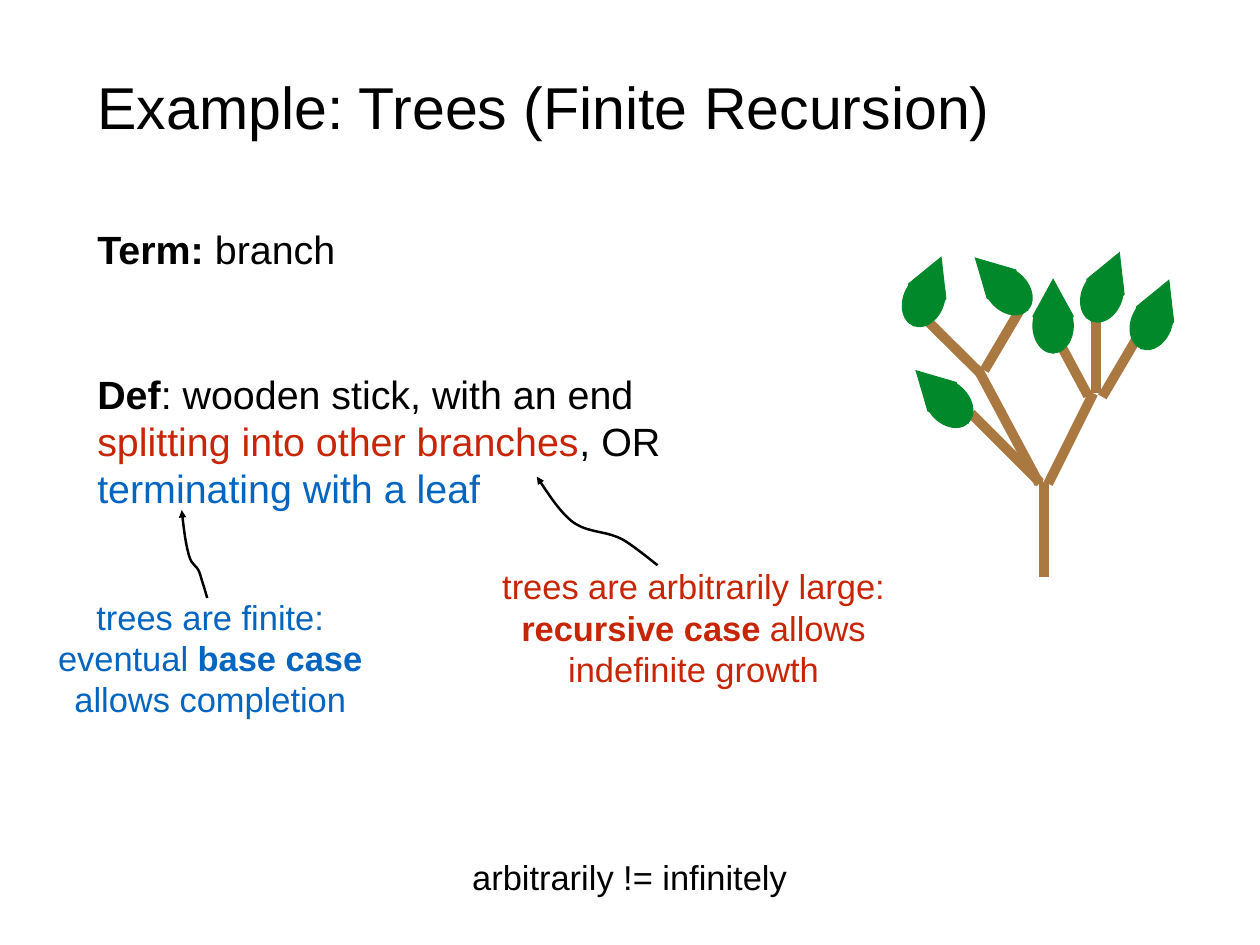
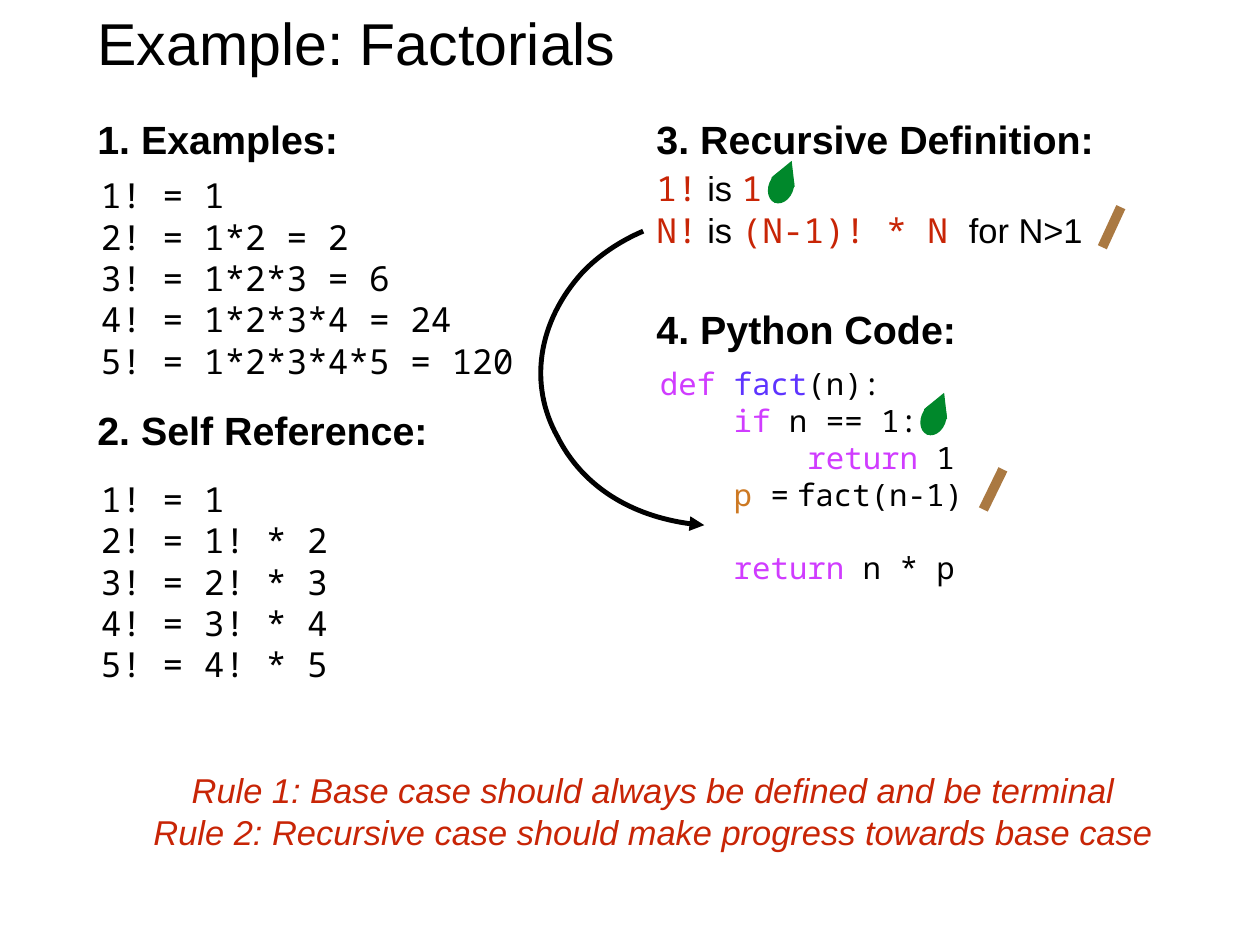
from dataclasses import dataclass

from lxml.etree import SubElement
from pptx import Presentation
from pptx.dml.color import RGBColor
from pptx.enum.shapes import MSO_CONNECTOR, MSO_SHAPE
from pptx.enum.text import MSO_ANCHOR, MSO_AUTO_SIZE, PP_ALIGN
from pptx.oxml.ns import qn
from pptx.util import Cm, Pt


@dataclass(frozen=True)
class Theme:
    sans: str = "Arial"
    mono: str = "Noto Sans Mono"
    black: str = "000000"
    red: str = "C82506"
    blue: str = "0365C0"
    wood: str = "AA7942"
    leaf: str = "00882B"
    keyword: str = "D03CFF"
    function: str = "5E34FF"
    variable: str = "CD7923"
    title_size: int = 48
    heading_size: int = 32
    note_size: int = 28
    code_size: int = 25
    leading: float = 1.2
    margin: float = 0.15


THEME = Theme()
BOLD = {"bold": True}
RED = {"color": THEME.red}
BLUE = {"color": THEME.blue}
RED_CODE = {"color": THEME.red, "name": THEME.mono}
KEYWORD = {"color": THEME.keyword}
MIDDLE = {"vertical_anchor": MSO_ANCHOR.MIDDLE}


def write(shape, place, size, lines, base=None, align=PP_ALIGN.LEFT, frame_format=None):
    """Place a shape in cm and fill it; a line is a string or a list of (text, font format)."""
    for side, length in zip(("left", "top", "width", "height"), place):
        setattr(shape, side, Cm(length))
    frame = shape.text_frame
    margins = {f"margin_{side}": Cm(THEME.margin) for side in ("left", "top", "right", "bottom")}
    settings = {"word_wrap": True, "auto_size": MSO_AUTO_SIZE.NONE,
                "vertical_anchor": MSO_ANCHOR.TOP}
    for key, value in (settings | margins | (frame_format or {})).items():
        setattr(frame, key, value)
    defaults = {"name": THEME.sans, "size": Pt(size), "bold": False, "italic": False,
                "color": THEME.black} | (base or {})
    spacing = {"alignment": align, "line_spacing": Pt(size * THEME.leading),
               "space_before": Pt(0), "space_after": Pt(0)}
    for number, line in enumerate(lines):
        paragraph = frame.add_paragraph() if number else frame.paragraphs[0]
        for key, value in spacing.items():
            setattr(paragraph, key, value)
        for text, changes in [(line, {})] if isinstance(line, str) else line:
            run = paragraph.add_run()
            run.text = text
            font_format = defaults | changes
            run.font.color.rgb = RGBColor.from_string(font_format.pop("color"))
            for key, value in font_format.items():
                setattr(run.font, key, value)
    return frame


presentation = Presentation()
presentation.slide_width, presentation.slide_height = Cm(36.12), Cm(27.1)
title_and_body, title_only = (presentation.slide_layouts[index] for index in (1, 5))
trees = presentation.slides.add_slide(title_and_body)
factorials = presentation.slides.add_slide(title_only)

for slide, title, top, height in (
    (trees, "Example: Trees (Finite Recursion)", 1.24, 3.58),
    (factorials, "Example: Factorials", 0.03, 2.36),
):
    write(slide.shapes.title, (2.64, top, 30.84, height), THEME.title_size, [title],
          frame_format=MIDDLE)

# Trees: term, definition and notes
term = write(trees.placeholders[1], (2.64, 6.3, 30.84, 2.24), THEME.heading_size,
             [[("Term: ", BOLD), ("branch", {})]])
term_properties = term.paragraphs[0]._p.get_or_add_pPr()
for indent in ("marL", "indent"):
    term_properties.set(indent, "0")
SubElement(term_properties, qn("a:buNone"))

write(trees.shapes.add_textbox(0, 0, 0, 0), (2.64, 10.46, 17.07, 4.52), THEME.heading_size,
      [[("Def", BOLD), (": wooden stick, with an end ", {}),
        ("splitting into other branches", RED), (", OR ", {}),
        ("terminating with a leaf", BLUE)]])

notes = (
    (trees, (10.34, 16.05, 19.08, 3.89), RED,
     ["trees are arbitrarily large:", [("recursive case", BOLD), (" allows", {})],
      "indefinite growth"]),
    (trees, (1.07, 16.92, 9.91, 3.89), BLUE,
     ["trees are finite:", [("eventual ", {}), ("base case", BOLD)], "allows completion"]),
    (trees, (13.28, 24.41, 9.53, 1.47), {}, ["arbitrarily != infinitely"]),
    (factorials, (3.81, 21.92, 29.8, 2.67), RED | {"italic": True},
     ["Rule 1: Base case should always be defined and be terminal",
      "Rule 2: Recursive case should make progress towards base case"]),
)
for slide, place, base, lines in notes:
    write(slide.shapes.add_textbox(0, 0, 0, 0), place, THEME.note_size, lines, base,
          PP_ALIGN.CENTER, MIDDLE)

# Factorials: four steps
for heading, left, top in (
    ("1. Examples:", 2.64, 3.15),
    ("2. Self Reference:", 2.64, 11.51),
    ("3. Recursive Definition:", 18.67, 3.15),
    ("4. Python Code:", 18.67, 8.59),
):
    write(factorials.shapes.add_textbox(0, 0, 0, 0), (left, top, 16.31, 2.06),
          THEME.heading_size, [heading], BOLD)

for top, equations in (
    (4.85, ["1! = 1", "2! = 1*2 = 2", "3! = 1*2*3 = 6", "4! = 1*2*3*4 = 24",
            "5! = 1*2*3*4*5 = 120"]),
    (13.56, ["1! = 1", "2! = 1! * 2", "3! = 2! * 3", "4! = 3! * 4", "5! = 4! * 5"]),
):
    write(factorials.shapes.add_textbox(0, 0, 0, 0), (2.74, top, 12.5, 6.27),
          THEME.note_size, equations, {"name": THEME.mono})

write(factorials.shapes.add_textbox(0, 0, 0, 0), (18.67, 4.65, 13.69, 3.33), THEME.note_size,
      [[("1!", RED_CODE), (" is ", {}), ("1", RED_CODE)],
       [("N!", RED_CODE), (" is ", {}), ("(N-1)! * N ", RED_CODE), ("for N>1", {})]])

code = write(
    factorials.shapes.add_textbox(0, 0, 0, 0), (18.77, 10.31, 16.81, 5.38), THEME.code_size,
    [[("def ", KEYWORD), ("fact", {"color": THEME.function}), ("(n):", {})],
     [("    if", KEYWORD), (" n == 1:", {})],
     [("        return", KEYWORD), (" 1", {})],
     [("    p", {"color": THEME.variable}), (" =\tfact(n-1)", {})],
     [("    return", KEYWORD), (" n * p", {})]],
    {"name": THEME.mono})
recursive_call, result = code.paragraphs[3:]
result.space_before = Pt(THEME.code_size * THEME.leading)
tab_stops = SubElement(recursive_call._p.get_or_add_pPr(), qn("a:tabLst"))
SubElement(tab_stops, qn("a:tab"), pos=str(Cm(3.93)), algn="l")

# Branches: start and end
for slide, *ends in (
    (trees, 29.92, 16.54, 29.92, 13.82),
    (trees, 30.05, 13.87, 31.34, 11.28),
    (trees, 29.79, 13.87, 28.09, 10.69),
    (trees, 28.12, 10.72, 26.42, 9.04),
    (trees, 28.22, 10.62, 29.21, 8.94),
    (trees, 31.6, 11.38, 32.59, 9.7),
    (trees, 31.19, 11.35, 30.4, 9.88),
    (trees, 31.42, 11.28, 31.42, 9.12),
    (trees, 29.82, 13.84, 27.84, 11.86),
    (factorials, 31.6, 7.09, 32.13, 5.94),
    (factorials, 28.19, 14.61, 28.75, 13.46),
):
    branch = slide.shapes.add_connector(MSO_CONNECTOR.STRAIGHT, *map(Cm, ends))
    branch.line.color.rgb = RGBColor.from_string(THEME.wood)
    branch.line.width = Pt(8)
    SubElement(branch.element.spPr, qn("a:effectLst"))

# Leaves: centre, angle and scale; each is a diamond tip over a round base
for slide, x, y, angle, scale in (
    (trees, 33.11, 9.02, 22.1, 1),
    (trees, 31.69, 8.23, 22.1, 1),
    (trees, 28.71, 8.15, 315, 1),
    (trees, 30.19, 9.07, 0, 1),
    (trees, 26.58, 8.36, 22.1, 1),
    (trees, 27.01, 11.38, 315, 1),
    (factorials, 22.45, 5.22, 22.1, 0.6),
    (factorials, 26.82, 11.87, 22.1, 0.6),
):
    leaf = slide.shapes.add_group_shape()
    for outline, height, drop in ((MSO_SHAPE.DIAMOND, 2.18, 0), (MSO_SHAPE.OVAL, 1.6, 0.27)):
        part = leaf.shapes.add_shape(
            outline, Cm(x - 1.19 * scale / 2), Cm(y + (drop - height / 2) * scale),
            Cm(1.19 * scale), Cm(height * scale))
        part.shadow.inherit = False
        part.fill.solid()
        part.fill.fore_color.rgb = RGBColor.from_string(THEME.leaf)
        part.line.fill.background()
    leaf.rotation = angle

# Curved arrows: a start, then three Bézier points for each stretch
for slide, width, points in (
    (trees, 2, ((18.85, 16.21), (18.52, 15.95), (18.21, 15.7), (17.93, 15.52),
                (17.4, 15.19), (16.87, 15.32), (16.38, 14.94),
                (16.05, 14.66), (15.72, 14.17), (15.39, 13.67))),
    (trees, 2, ((5.94, 17.15), (5.87, 16.89), (5.79, 16.66), (5.74, 16.48),
                (5.64, 16.15), (5.51, 16.28), (5.41, 15.9),
                (5.33, 15.62), (5.26, 15.11), (5.21, 14.63))),
    (factorials, 4, ((18.44, 6.63), (17.78, 6.91), (17.17, 7.32), (16.71, 7.8),
                     (15.39, 9.25), (15.16, 11.05), (15.98, 12.52),
                     (16.71, 13.97), (18.34, 14.94), (20.19, 15.06))),
):
    start, *stretches = [(Cm(x), Cm(y)) for x, y in points]
    builder = slide.shapes.build_freeform(*start)
    builder.add_line_segments(stretches, close=False)
    arrow = builder.convert_to_shape()
    segments = list(arrow.element.iter(qn("a:lnTo")))
    for bend, *others in zip(segments[::3], segments[1::3], segments[2::3]):
        bend.tag = qn("a:cubicBezTo")
        for other in others:
            bend.append(other[0])
            other.getparent().remove(other)
    arrow.shadow.inherit = False
    arrow.fill.background()
    arrow.line.color.rgb = RGBColor.from_string(THEME.black)
    arrow.line.width = Pt(width)
    SubElement(arrow.element.spPr.find(qn("a:ln")), qn("a:tailEnd"), type="triangle")

presentation.save("out.pptx")
